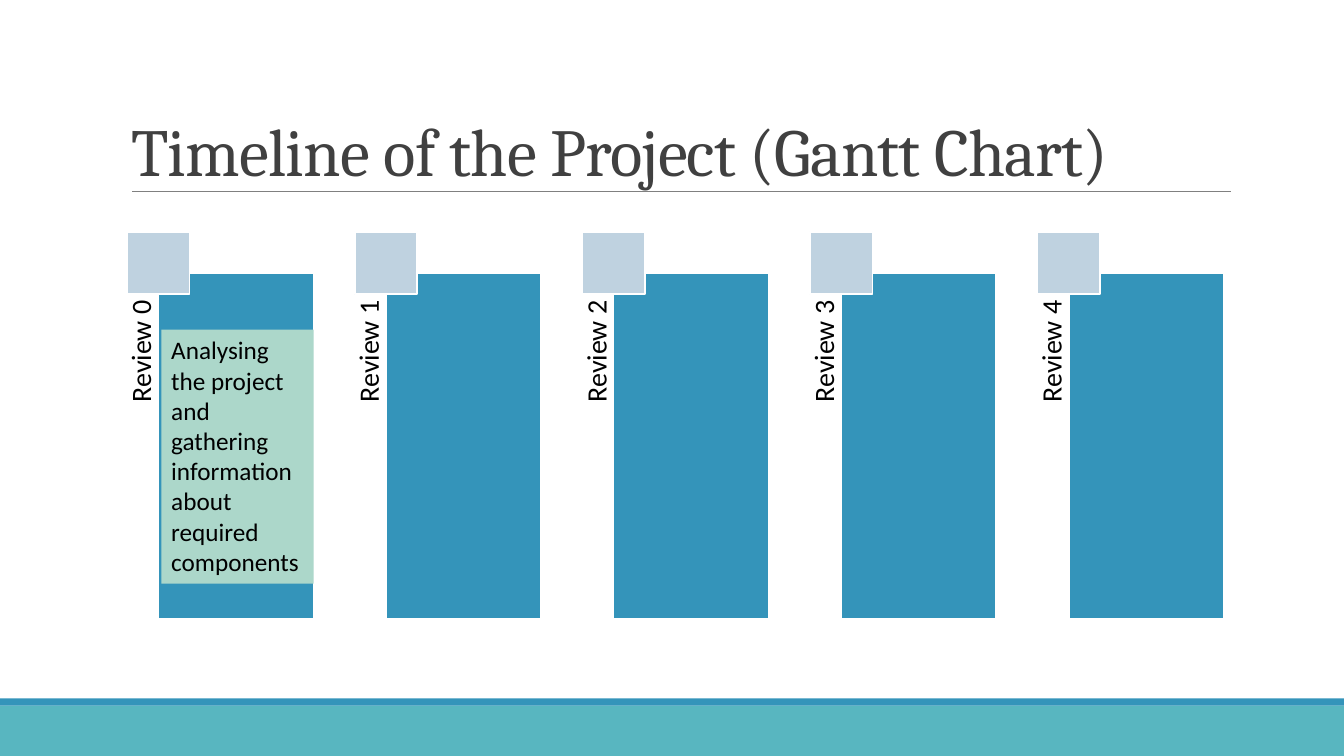
"""Build the project timeline slide with five review stages."""
from dataclasses import dataclass

from pptx import Presentation
from pptx.dml.color import RGBColor
from pptx.enum.shapes import MSO_CONNECTOR, MSO_SHAPE
from pptx.enum.text import MSO_ANCHOR, MSO_AUTO_SIZE, PP_ALIGN
from pptx.oxml.ns import qn
from pptx.util import Inches, Pt


@dataclass(frozen=True)
class Theme:
    blue: str = "3494BA"
    teal: str = "58B6C0"
    marker: str = "BFD2E0"
    note: str = "ACD7CA"
    white: str = "FFFFFF"
    rule: str = "808080"
    heading: str = "404040"
    text: str = "000000"
    heading_font: str = "Cambria"
    body_font: str = "Calibri"
    heading_size: int = 48
    label_size: int = 20
    note_size: int = 18


theme = Theme()


def add_block(left, top, width, height, fill, outline=None):
    block = page.shapes.add_shape(
        MSO_SHAPE.RECTANGLE, Inches(left), Inches(top), Inches(width), Inches(height))
    block.shadow.inherit = False
    block.fill.solid()
    block.fill.fore_color.rgb = RGBColor.from_string(fill)
    if outline:
        block.line.color.rgb = RGBColor.from_string(outline)
        block.line.width = Pt(1.25)
    else:
        block.line.fill.background()
    return block


def write(box, text, font, size, color, align=PP_ALIGN.LEFT):
    para = box.text_frame.paragraphs[0]
    para.alignment = align
    span = para.add_run()
    span.text = text
    span.font.name = font
    span.font.size = Pt(size)
    span.font.color.rgb = RGBColor.from_string(color)
    return para, span


deck = Presentation()
deck.slide_width, deck.slide_height = Inches(13.33), Inches(7.5)
page = deck.slides.add_slide(deck.slide_layouts[5])

add_block(0, 7, 13.33, 0.5, theme.teal)
add_block(0, 6.93, 13.33, 0.07, theme.blue)

rule = page.shapes.add_connector(
    MSO_CONNECTOR.STRAIGHT, Inches(1.31), Inches(1.9), Inches(12.21), Inches(1.9))
rule.line.color.rgb = RGBColor.from_string(theme.rule)
rule.line.width = Pt(0.5)
rule_properties = rule._element.spPr
rule_properties.append(rule_properties.makeelement(qn("a:effectLst"), {}))

title = page.shapes.title
title.left, title.top = Inches(1.2), Inches(0.75)
title.width, title.height = Inches(11), Inches(1.59)
title.text_frame.word_wrap = True
title.text_frame.auto_size = MSO_AUTO_SIZE.NONE
title.text_frame.vertical_anchor = MSO_ANCHOR.MIDDLE
para, span = write(title, "Timeline of the Project (Gantt Chart)",
                   theme.heading_font, theme.heading_size, theme.heading)
para.line_spacing = 0.85
span.font._element.set("spc", "-50")

reviews = ["Review 0", "Review 1", "Review 2", "Review 3", "Review 4"]
first_left, last_left = 1.26, 10.29
pitch = (last_left - first_left) / (len(reviews) - 1)
label_length, label_depth = 3.43, 0.31

for index, review in enumerate(reviews):
    left = first_left + index * pitch
    label_center = left + label_depth / 2
    label = page.shapes.add_textbox(
        Inches(label_center - label_length / 2), Inches(4.27),
        Inches(label_length), Inches(label_depth))
    label.rotation = 270
    frame = label.text_frame
    frame.word_wrap = True
    frame.margin_left = frame.margin_top = frame.margin_bottom = 0
    frame.margin_right = Inches(0.27)
    para, span = write(label, review, theme.body_font, theme.label_size,
                       theme.text, PP_ALIGN.RIGHT)
    para.line_spacing = 0.9

    add_block(left + label_depth, 2.71, 1.54, 3.43, theme.blue, theme.white)
    add_block(left, 2.3, 0.62, 0.62, theme.marker, theme.white)

note = add_block(1.6, 3.27, 1.51, 2.52, theme.note)
note.text_frame.word_wrap = True
note.text_frame.auto_size = MSO_AUTO_SIZE.SHAPE_TO_FIT_TEXT
note.text_frame.vertical_anchor = MSO_ANCHOR.TOP
write(note, "Analysing the project and gathering information about required components",
      theme.body_font, theme.note_size, theme.text)

deck.save("out.pptx")
